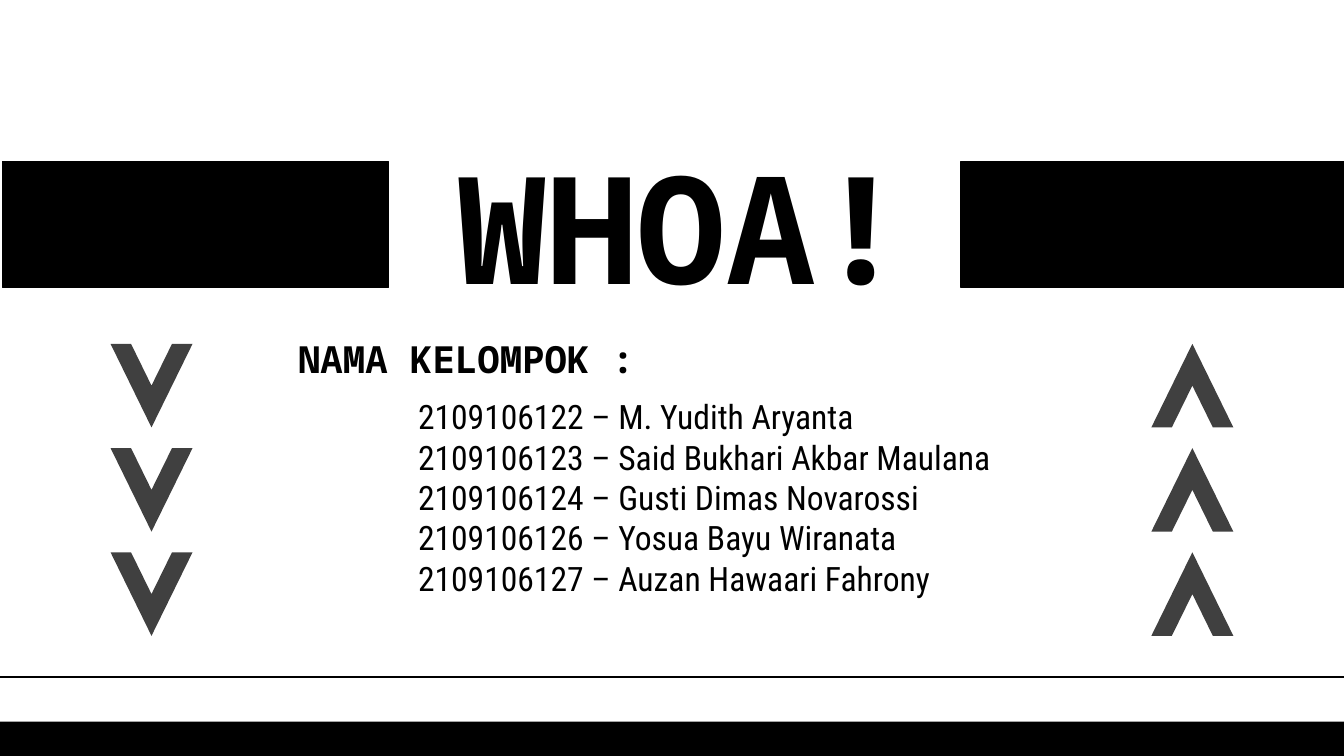
from dataclasses import dataclass

from lxml import etree
from pptx import Presentation
from pptx.dml.color import RGBColor
from pptx.enum.shapes import MSO_CONNECTOR, MSO_SHAPE
from pptx.enum.text import MSO_ANCHOR, MSO_AUTO_SIZE, PP_ALIGN
from pptx.oxml.ns import qn
from pptx.util import Cm, Pt

RECT = MSO_SHAPE.RECTANGLE
STRAIGHT = MSO_CONNECTOR.STRAIGHT
TOP, MIDDLE = MSO_ANCHOR.TOP, MSO_ANCHOR.MIDDLE
LEFT, CENTER = PP_ALIGN.LEFT, PP_ALIGN.CENTER
NO_FIT = MSO_AUTO_SIZE.NONE

COLORS = {"ink": "000000", "chevron": "404040"}
MONO, SANS = "Noto Sans Mono", "Roboto Condensed"
SLIDE_W, SLIDE_H = 25.4, 14.29
CHEVRON_W, CHEVRON_H, CHEVRON_STEP = 1.55, 1.58, 1.97
CHEVRON_TOP = 6.5
CHEVRON_POINTS = [(1, 1), (0.5, 0), (0, 1), (0.25, 1), (0.5, 0.5), (0.75, 1)]
MEMBERS = [
    "2109106122 – M. Yudith Aryanta",
    "2109106123 – Said Bukhari Akbar Maulana",
    "2109106124 – Gusti Dimas Novarossi",
    "2109106126 – Yosua Bayu Wiranata",
    "2109106127 – Auzan Hawaari Fahrony",
]


@dataclass
class Box:
    left: float
    top: float
    width: float
    height: float

    def lengths(self) -> list:
        return [Cm(v) for v in (self.left, self.top, self.width, self.height)]


@dataclass
class TextStyle:
    font: str
    size: float
    bold: bool
    align: PP_ALIGN
    anchor: MSO_ANCHOR
    inset_left: float


@dataclass
class ChevronColumn:
    left: float
    points_up: bool


HEADING = TextStyle(MONO, 80, True, CENTER, MIDDLE, 0.51)
SUBHEADING = TextStyle(MONO, 20, True, CENTER, MIDDLE, 0.51)
LIST = TextStyle(SANS, 18, False, LEFT, TOP, 0.25)
BARS = [Box(0.05, 3.05, 7.29, 2.39), Box(18.16, 3.05, 7.29, 2.39)]
FOOTER = Box(0, 13.64, SLIDE_W, 0.65)
COLUMNS = [ChevronColumn(2.09, False), ChevronColumn(21.76, True)]


def color(name: str) -> RGBColor:
    return RGBColor.from_string(COLORS[name])


def write_text(sp, box: Box, lines: list[str], style: TextStyle) -> None:
    sp.left, sp.top, sp.width, sp.height = box.lengths()
    tf = sp.text_frame
    frame_format = {
        "word_wrap": True,
        "auto_size": NO_FIT,
        "vertical_anchor": style.anchor,
        "margin_left": Cm(style.inset_left),
        "margin_right": Cm(0.25),
        "margin_top": Cm(0.25),
        "margin_bottom": Cm(0.25),
    }
    for name, value in frame_format.items():
        setattr(tf, name, value)
    font_format = {"name": style.font, "size": Pt(style.size), "bold": style.bold}
    for i, line in enumerate(lines):
        p = tf.paragraphs[0] if i == 0 else tf.add_paragraph()
        p.alignment = style.align
        p.space_before = Pt(0)
        r = p.add_run()
        r.text = line
        for name, value in font_format.items():
            setattr(r.font, name, value)
        r.font.color.rgb = color("ink")


def paint(sp, fill: str, outlined: bool = False) -> None:
    sp.shadow.inherit = False
    sp.fill.solid()
    sp.fill.fore_color.rgb = color(fill)
    if outlined:
        sp.line.color.rgb = color(fill)
        sp.line.width = Pt(0.75)
    else:
        sp.line.fill.background()


def add_bar(s, box: Box, outlined: bool) -> None:
    paint(s.shapes.add_shape(RECT, *box.lengths()), "ink", outlined)


def add_rule(s, top: float) -> None:
    rule = s.shapes.add_connector(STRAIGHT, Cm(0), Cm(top), Cm(SLIDE_W), Cm(top))
    rule.line.color.rgb = color("ink")
    rule.line.width = Pt(0.75)
    etree.SubElement(rule._element.spPr, qn("a:effectLst"))


def add_chevron(s, left: float, top: float, points_up: bool) -> None:
    points = [
        (Cm(left + x * CHEVRON_W), Cm(top + (y if points_up else 1 - y) * CHEVRON_H))
        for x, y in CHEVRON_POINTS
    ]
    outline = s.shapes.build_freeform(*points[0])
    outline.add_line_segments(points[1:], close=True)
    paint(outline.convert_to_shape(), "chevron")


def main() -> None:
    prs = Presentation()
    prs.slide_width, prs.slide_height = Cm(SLIDE_W), Cm(SLIDE_H)
    s = prs.slides.add_slide(prs.slide_layouts[0])

    write_text(s.shapes.title, Box(7.7, 3.05, 10.11, 2.39), ["WHOA!"], HEADING)
    write_text(s.placeholders[1], Box(7.65, 7.24, 11.4, 3.99), MEMBERS, LIST)
    label = s.shapes.add_textbox(0, 0, 0, 0)
    write_text(label, Box(3.63, 6.12, 10.11, 1.3), ["NAMA KELOMPOK :"], SUBHEADING)

    add_bar(s, FOOTER, outlined=False)
    add_rule(s, 12.8)
    for bar in BARS:
        add_bar(s, bar, outlined=True)
    for column in COLUMNS:
        for row in range(3):
            top = CHEVRON_TOP + row * CHEVRON_STEP
            add_chevron(s, column.left, top, column.points_up)

    prs.save("out.pptx")


if __name__ == "__main__":
    main()
